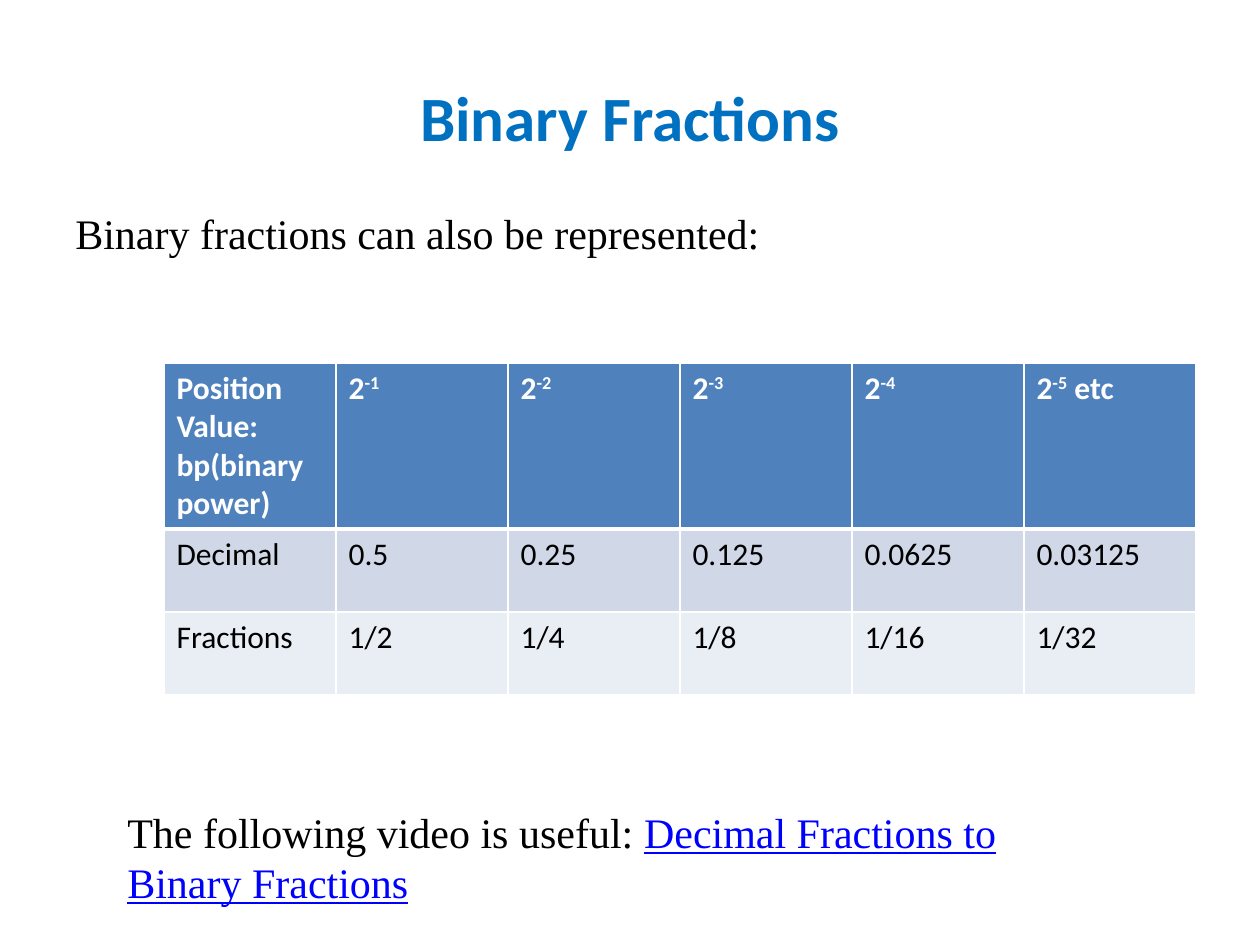
from lxml import etree
from pptx import Presentation
from pptx.dml.color import RGBColor
from pptx.enum.text import MSO_ANCHOR, PP_ALIGN
from pptx.oxml.ns import qn
from pptx.util import Pt

MIDDLE = MSO_ANCHOR.MIDDLE
CENTER = PP_ALIGN.CENTER
SCALE = 914400 / 126
SANS, SERIF = "Calibri", "Times New Roman"
COLORS = {
    "title": "0070C0", "text": "000000", "link": "0000FF", "white": "FFFFFF",
    "head": "4F81BD", "odd": "D0D8E8", "even": "E9EDF4",
}


def px(*sizes):
    """Turn px lengths into EMU."""
    return [round(size * SCALE) for size in sizes]


def add_run(para, text, font, size, color, bold=False):
    run = para.add_run()
    run.text = text
    run.font.name = font
    run.font.size = Pt(size)
    run.font.bold = bold
    run.font.color.rgb = RGBColor.from_string(COLORS[color])
    return run


deck = Presentation()
deck.slide_width, deck.slide_height = px(1260, 945)
slide = deck.slides.add_slide(deck.slide_layouts[5])

# Title
title = slide.shapes.title
title.left, title.top, title.width, title.height = px(63, 38, 1134, 157)
title.text_frame.vertical_anchor = MIDDLE
para = title.text_frame.paragraphs[0]
para.alignment = CENTER
add_run(para, "Binary Fractions", SANS, 36, "title", True)

# Intro
intro = slide.shapes.add_textbox(*px(63, 195, 1182, 750)).text_frame
intro.word_wrap = True
intro.margin_top = px(12)[0]
add_run(intro.paragraphs[0], "Binary fractions can also be represented:",
        SERIF, 24, "text")

# Table: each cell is a list of (text, is raised) parts
powers = [[("2", False), (f"-{n}", True)] for n in range(1, 6)]
powers[-1].append((" etc", False))
rows = [
    [[("Position Value: bp(binary power)", False)]] + powers,
    [[("Decimal", False)]] + [[(f"{1 / 2 ** n}", False)] for n in range(1, 6)],
    [[("Fractions", False)]] + [[(f"1/{2 ** n}", False)] for n in range(1, 6)],
]
fills = ["head", "odd", "even"]
heights = [166, 83, 83]

table = slide.shapes.add_table(3, 6, *px(164, 363, 1032, sum(heights))).table
for col in table.columns:
    col.width = px(172)[0]
for r, cells in enumerate(rows):
    table.rows[r].height = px(heights[r])[0]
    for c, parts in enumerate(cells):
        cell = table.cell(r, c)
        para = cell.text_frame.paragraphs[0]
        for text, raised in parts:
            run = add_run(para, text, SANS, 18,
                          "text" if r else "white", r == 0)
            if raised:
                run.font._element.set("baseline", "30000")
        # Borders come before the fill in the cell properties
        props = cell._tc.get_or_add_tcPr()
        for side in "LRTB":
            thick = (r, side) in ((0, "B"), (1, "T"))
            line = etree.SubElement(props, qn(f"a:ln{side}"),
                                    w=str(Pt(3 if thick else 1)))
            paint = etree.SubElement(line, qn("a:solidFill"))
            etree.SubElement(paint, qn("a:srgbClr"), val=COLORS["white"])
        cell.fill.solid()
        cell.fill.fore_color.rgb = RGBColor.from_string(COLORS[fills[r]])

# Video line
video = slide.shapes.add_textbox(*px(115, 800, 942, 115)).text_frame
video.word_wrap = True
para = video.paragraphs[0]
add_run(para, "The following video is useful: ", SERIF, 24, "text")
link = add_run(para, "Decimal Fractions to Binary Fractions",
               SERIF, 24, "link")
link.font.underline = True

deck.save("out.pptx")
